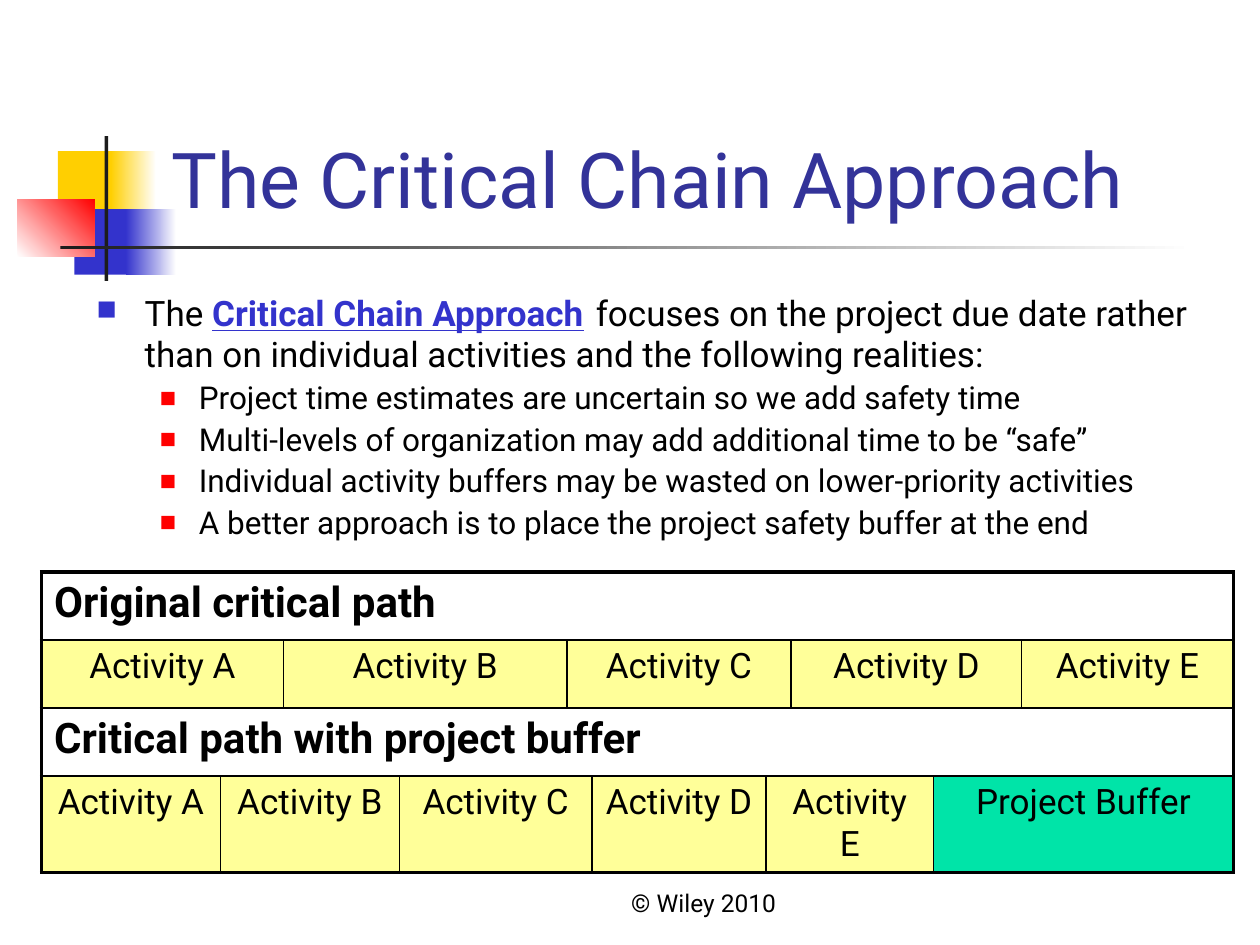
import pptx
import pptx.util
import pptx.dml.color
import pptx.enum.shapes
import pptx.enum.text
import pptx.oxml.ns
import lxml.etree

RGB = pptx.dml.color.RGBColor
ALIGN = pptx.enum.text.PP_ALIGN
ANCHOR = pptx.enum.text.MSO_ANCHOR

BLACK = RGB(0x00, 0x00, 0x00)
WHITE = RGB(0xFF, 0xFF, 0xFF)
COAL = RGB(0x1C, 0x1C, 0x1C)
GOLD = RGB(0xFF, 0xCF, 0x01)
BLUE = RGB(0x33, 0x33, 0xCC)
NAVY = RGB(0x33, 0x33, 0x99)
RED = RGB(0xFF, 0x00, 0x00)
CREAM = RGB(0xFF, 0xFF, 0x99)
GREEN = RGB(0x00, 0xE4, 0xA8)

FONT = "Roboto"
THIN, THICK = 1, 2.25


def unit(n):
    """Length of n grid steps; the slide has 100 columns and 75 rows."""
    return pptx.util.Inches(n / 10)


def add(node, tag, **attrs):
    return lxml.etree.SubElement(node, pptx.oxml.ns.qn(tag), attrs)


def write(para, text, size=20, color=BLACK, bold=False, under=False):
    run = para.add_run()
    run.text = text
    font = run.font
    font.name, font.size = FONT, pptx.util.Pt(size)
    font.bold, font.underline = bold, under
    font.color.rgb = color


def bullet(para, left, hang, color, size):
    """Give para a square bullet; left and hang are in grid steps."""
    props = para._p.get_or_add_pPr()
    props.set("marL", str(unit(left)))
    props.set("indent", str(-unit(hang)))
    add(add(props, "a:buClr"), "a:srgbClr", val=str(color))
    add(props, "a:buSzPct", val=str(size * 1000))
    add(props, "a:buFont", typeface=FONT)
    add(props, "a:buChar", char="■")


def edge(cell, **widths):
    """Draw cell borders, given as L, R, T and B in points."""
    props = cell._tc.get_or_add_tcPr()
    for side in "LRTB":
        line = add(props, "a:ln" + side, w=str(pptx.util.Pt(widths[side])))
        add(add(line, "a:solidFill"), "a:srgbClr", val=str(BLACK))


class Deck:
    """Holds the file and the current slide."""

    def __init__(self):
        self.file = pptx.Presentation()
        self.file.slide_width, self.file.slide_height = unit(100), unit(75)
        self.slide = self.file.slides.add_slide(self.file.slide_layouts[6])

    def block(self, box, first, last=None, angle=0):
        """Add a rectangle, plain or fading from first to last."""
        kind = pptx.enum.shapes.MSO_SHAPE.RECTANGLE
        shape = self.slide.shapes.add_shape(kind, *map(unit, box))
        shape.shadow.inherit = False
        shape.line.fill.background()
        if last is None:
            shape.fill.solid()
            shape.fill.fore_color.rgb = first
            return
        shape.fill.gradient()
        shape.fill.gradient_angle = angle
        for stop, color in zip(shape.fill.gradient_stops, (first, last)):
            stop.color.rgb = color

    def frame(self, box, anchor=ANCHOR.TOP):
        frame = self.slide.shapes.add_textbox(*map(unit, box)).text_frame
        frame.word_wrap = True
        frame.vertical_anchor = anchor
        return frame

    def label(self, box, text, align=ALIGN.LEFT, **style):
        para = self.frame(box, ANCHOR.BOTTOM).paragraphs[0]
        para.alignment = align
        write(para, text, **style)

    def points(self, box, lead, items):
        """Add a lead point of styled parts, then plain sub-points."""
        frame = self.frame(box)
        para = frame.paragraphs[0]
        bullet(para, 3.8, 3.8, BLUE, 60)
        para.line_spacing = 0.9
        for text, style in lead:
            write(para, text, **style)
        for item in items:
            para = frame.add_paragraph()
            bullet(para, 8.1, 3.1, RED, 55)
            para.line_spacing = 0.9
            para.space_before = pptx.util.Pt(4.2)
            write(para, item, size=18)

    def table(self, box, cols, rows):
        """Add a table; each row lists (text, columns spanned, fill)."""
        count, wide = len(rows), len(cols)
        table = self.slide.shapes.add_table(count, wide, *map(unit, box)).table
        table.first_row = table.horz_banding = False
        for col, width in zip(table.columns, cols):
            col.width = unit(width)
        for r, row in enumerate(rows):
            start = 0
            for text, span, fill in row:
                stop = start + span
                cell = table.cell(r, start)
                if span > 1:
                    cell.merge(table.cell(r, stop - 1))
                edge(cell,
                     L=THIN if start else THICK,
                     R=THIN if stop < wide else THICK,
                     T=THIN if r else THICK,
                     B=THIN if r < count - 1 else THICK)
                for c in range(start, stop):
                    self.paint(table.cell(r, c), fill)
                para = cell.text_frame.paragraphs[0]
                head = fill is None
                para.alignment = ALIGN.LEFT if head else ALIGN.CENTER
                write(para, text, size=24 if head else 20, bold=head)
                start = stop

    def paint(self, cell, fill):
        if fill is None:
            cell.fill.background()
        else:
            cell.fill.solid()
            cell.fill.fore_color.rgb = fill


def main():
    deck = Deck()

    deck.block((4.6, 12, 4.8, 5.2), GOLD)
    deck.block((8.8, 12, 3.6, 5.2), GOLD, WHITE)
    deck.block((5.9, 16.6, 4.6, 5.2), BLUE)
    deck.block((10, 16.6, 4, 5.2), BLUE, WHITE)
    deck.block((1.4, 15.8, 6.1, 4.6), WHITE, RED, angle=45)
    deck.block((8.3, 10.8, 0.3, 11.5), COAL)
    deck.block((4.8, 19.5, 90, 0.3), COAL, WHITE)

    deck.label((40, 68.3, 31.7, 5), "© Wiley 2010", ALIGN.CENTER, size=14)
    deck.label((12.6, 2.3, 85.2, 16), "The Critical Chain Approach",
               size=44, color=NAVY)

    lead = [
        ("The ", {}),
        ("Critical Chain Approach", dict(color=BLUE, bold=True, under=True)),
        (" ", dict(size=28)),
        ("focuses on the project due date rather than on individual "
         "activities and the following realities:", {}),
    ]
    deck.points((6.7, 22.1, 91.3, 21.7), lead, [
        "Project time estimates are uncertain so we add safety time",
        "Multi-levels of organization may add additional time to be “safe”",
        "Individual activity buffers may be wasted on lower-priority activities",
        "A better approach is to place the project safety buffer at the end",
    ])

    def tasks(*spans):
        return [("Activity " + name, span, CREAM)
                for name, span in zip("ABCDE", spans)]

    cols = [14.2, 5, 9.2, 13.3, 2, 13.8, 2, 11.3, 7, 16.8]
    deck.table((3.3, 45.4, 94.6, 21.6), cols, [
        [("Original critical path", len(cols), None)],
        tasks(2, 2, 3, 2, 1),
        [("Critical path with project buffer", len(cols), None)],
        tasks(1, 2, 2, 1, 2) + [("Project Buffer", 2, GREEN)],
    ])

    deck.file.save("out.pptx")


if __name__ == "__main__":
    main()
